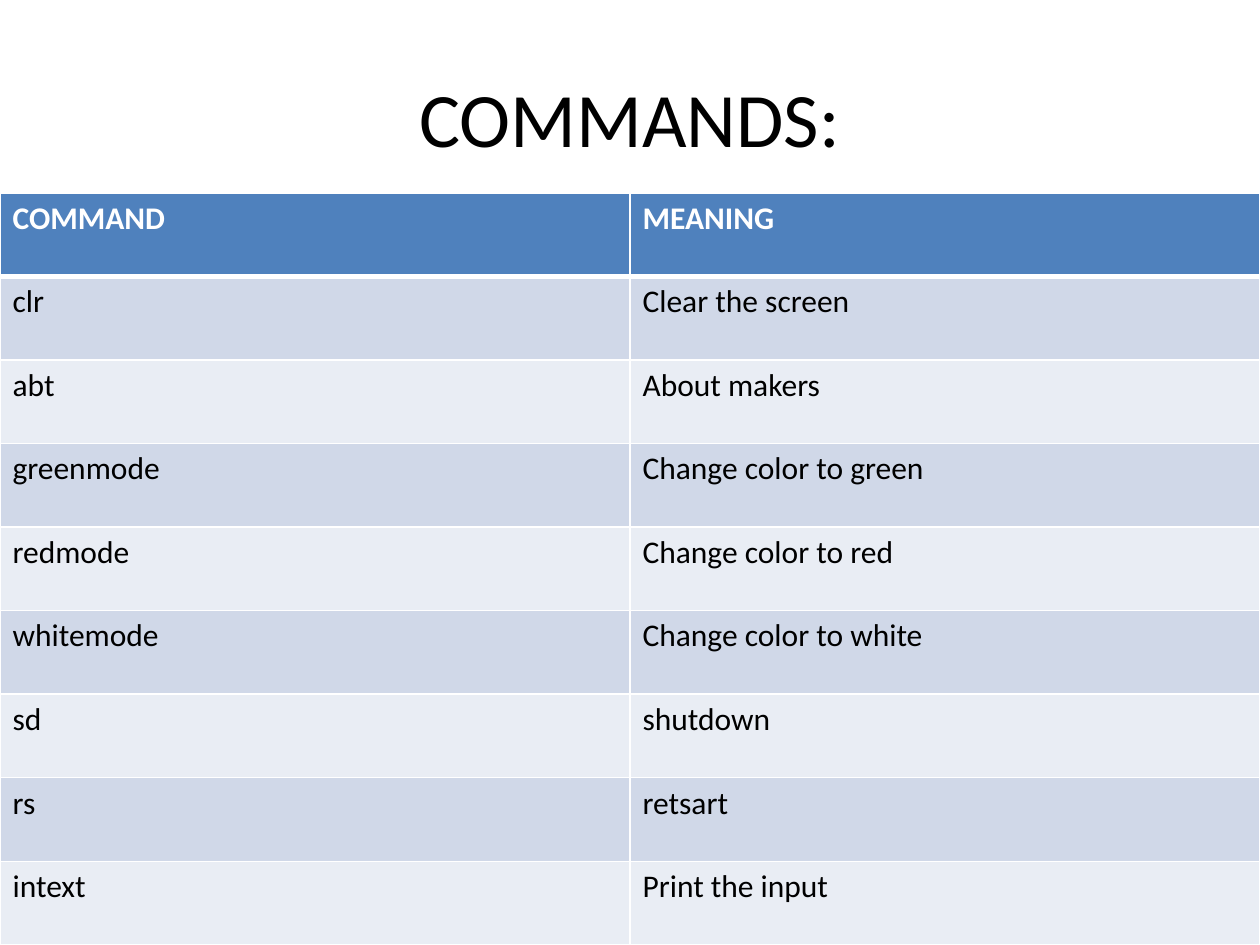
from lxml.etree import SubElement
from pptx import Presentation
from pptx.dml.color import RGBColor
from pptx.enum.text import MSO_ANCHOR, PP_ALIGN
from pptx.oxml.ns import qn
from pptx.util import Cm, Pt

TITLE = "COMMANDS:"
ROWS = [
    ("COMMAND", "MEANING"),
    ("clr", "Clear the screen"),
    ("abt", "About makers"),
    ("greenmode", "Change color to green"),
    ("redmode", "Change color to red"),
    ("whitemode", "Change color to white"),
    ("sd", "shutdown"),
    ("rs", "retsart"),
    ("intext", "Print the input"),
]
FONT = "Calibri"
BLACK, WHITE = "000000", "FFFFFF"
HEADER_FILL = "4F81BD"
BAND_FILLS = ("E9EDF4", "D0D8E8")
SLIDE_WIDTH, SLIDE_HEIGHT = 25.4, 19.05
TABLE_TOP = 3.89


def color(value):
    return RGBColor.from_string(value)


def add_text(paragraph, text, size, text_color, bold=False):
    run = paragraph.add_run()
    run.text = text
    run.font.name = FONT
    run.font.size = Pt(size)
    run.font.bold = bold
    run.font.color.rgb = color(text_color)


def add_borders(cell, top, bottom):
    properties = cell._tc.get_or_add_tcPr()
    for tag, width in (("lnL", 1), ("lnR", 1), ("lnT", top), ("lnB", bottom)):
        line = SubElement(properties, qn(f"a:{tag}"), w=str(Pt(width)))
        fill = SubElement(line, qn("a:solidFill"))
        SubElement(fill, qn("a:srgbClr"), val=WHITE)


def add_command_table(slide):
    height = SLIDE_HEIGHT - TABLE_TOP
    frame = slide.shapes.add_table(
        len(ROWS), len(ROWS[0]), Cm(0), Cm(TABLE_TOP), Cm(SLIDE_WIDTH), Cm(height)
    )
    table = frame.table
    for row in table.rows:
        row.height = Cm(height / len(ROWS))
    for row_index, texts in enumerate(ROWS):
        header = row_index == 0
        for column_index, text in enumerate(texts):
            cell = table.cell(row_index, column_index)
            add_borders(cell, 3 if row_index == 1 else 1, 3 if header else 1)
            cell.fill.solid()
            cell.fill.fore_color.rgb = color(
                HEADER_FILL if header else BAND_FILLS[row_index % 2]
            )
            paragraph = cell.text_frame.paragraphs[0]
            add_text(paragraph, text, 18, WHITE if header else BLACK, header)


def add_title(slide):
    shape = slide.shapes.add_textbox(Cm(1.27), Cm(0.76), Cm(22.86), Cm(3.18))
    text_frame = shape.text_frame
    text_frame.word_wrap = True
    text_frame.vertical_anchor = MSO_ANCHOR.MIDDLE
    paragraph = text_frame.paragraphs[0]
    paragraph.alignment = PP_ALIGN.CENTER
    add_text(paragraph, TITLE, 44, BLACK)


def main():
    presentation = Presentation()
    presentation.slide_width = Cm(SLIDE_WIDTH)
    presentation.slide_height = Cm(SLIDE_HEIGHT)
    slide = presentation.slides.add_slide(presentation.slide_layouts[6])
    add_command_table(slide)
    add_title(slide)
    presentation.save("out.pptx")


if __name__ == "__main__":
    main()
